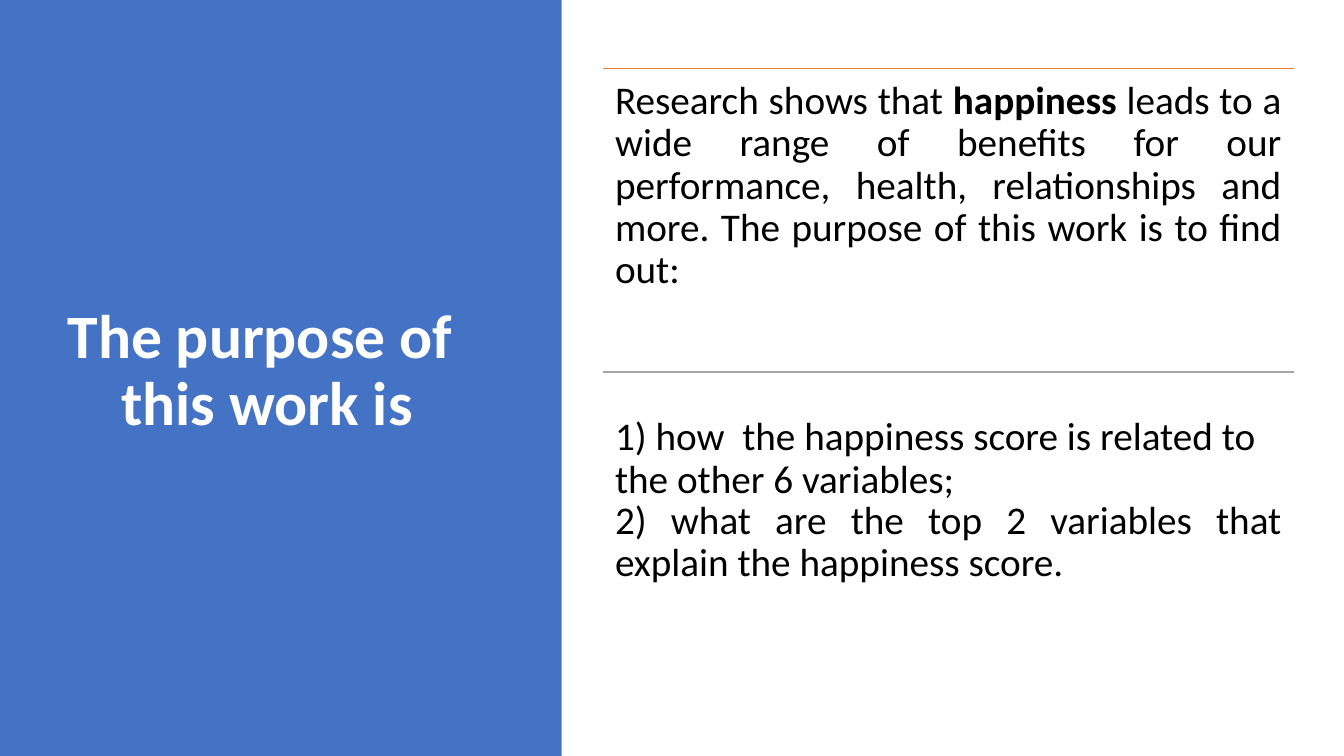
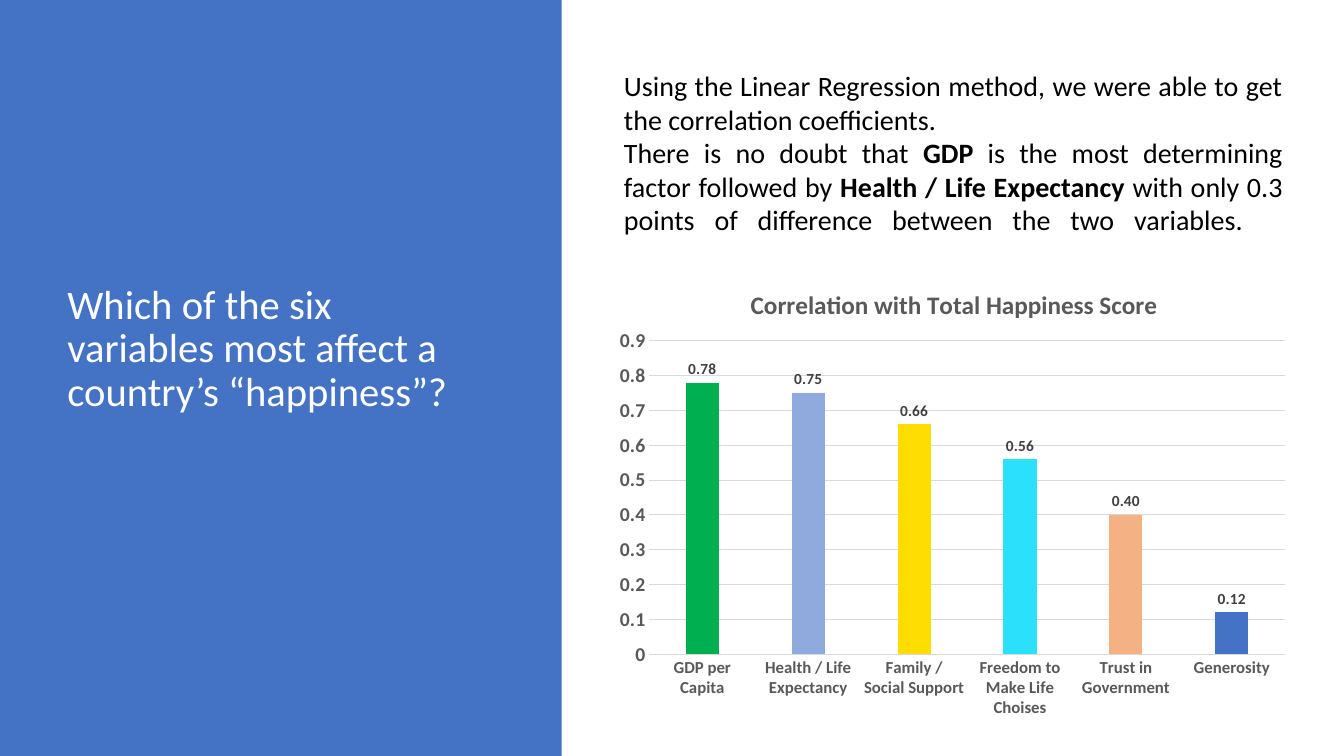
from typing import NamedTuple

from lxml import etree
from pptx import Presentation
from pptx.chart.data import CategoryChartData
from pptx.dml.color import RGBColor
from pptx.enum import chart as ch, shapes, text
from pptx.oxml.ns import qn
from pptx.util import Inches, Pt

WHITE = RGBColor(0xFF, 0xFF, 0xFF)
BLACK = RGBColor(0, 0, 0)
BLUE = RGBColor(0x44, 0x72, 0xC4)
ORANGE = RGBColor(0xED, 0x7D, 0x31)
GRAY = RGBColor(0xA5, 0xA5, 0xA5)
GRID = RGBColor(0xD9, 0xD9, 0xD9)
AXIS_TEXT = RGBColor(0x59, 0x59, 0x59)
LABEL_TEXT = RGBColor(0x40, 0x40, 0x40)
FONT = "Calibri"
LEFT, JUSTIFY, CENTER = (text.PP_ALIGN.LEFT, text.PP_ALIGN.JUSTIFY,
                         text.PP_ALIGN.CENTER)
RIGHT_X, RIGHT_W = 5.98, 6.85
SECTION_TOP, SECTION_H = 0.68, 3.01


class Para(NamedTuple):
    """A paragraph; every second run is bold, starting with a plain one."""
    runs: tuple[str, ...]
    align: text.PP_ALIGN = JUSTIFY
    space_before: float = 0


class Section(NamedTuple):
    color: RGBColor
    top_inset: float
    paras: tuple[Para, ...]


class Bar(NamedTuple):
    name: str
    value: float
    color: RGBColor


SECTIONS = (
    Section(ORANGE, 0.12, (
        Para(("Research shows that ", "happiness",
              " leads to a wide range of benefits for our performance, health, "
              "relationships and more. The purpose of this work is to find out:")),
        Para(("1) how  the happiness score is related to the other 6 variables;",),
             LEFT, 89),
    )),
    Section(GRAY, 1.83, (
        Para(("2) what are the top 2 variables that explain the happiness score.",)),
    )),
)

FINDINGS = (
    Para(("Using the Linear Regression method, we were able to get the "
          "correlation coefficients.",)),
    Para(("There is no doubt that ", "GDP",
          " is the most determining factor followed by ",
          "Health / Life Expectancy ",
          "with only 0.3 points of difference between the two variables.  ")),
)

BARS = (
    Bar("GDP per Capita", 0.78, RGBColor(0x00, 0xB0, 0x50)),
    Bar("Health / Life Expectancy", 0.75, RGBColor(0x8F, 0xAA, 0xDC)),
    Bar("Family / Social Support", 0.66, RGBColor(0xFE, 0xDE, 0x00)),
    Bar("Freedom to Make Life Choises", 0.56, RGBColor(0x2A, 0xE0, 0xFA)),
    Bar("Trust in Government", 0.40, RGBColor(0xF4, 0xB1, 0x83)),
    Bar("Generosity", 0.12, BLUE),
)


def set_font(font, size: float, color: RGBColor, bold: bool = False) -> None:
    font.name, font.size, font.bold = FONT, Pt(size), bold
    font.color.rgb = color


def add_text_frame(slide, x: float, y: float, w: float, h: float):
    tf = slide.shapes.add_textbox(*map(Inches, (x, y, w, h))).text_frame
    tf.word_wrap = True
    return tf


def add_paras(tf, paras: tuple[Para, ...], size: float, spacing: float) -> None:
    for i, para in enumerate(paras):
        p = tf.add_paragraph() if i else tf.paragraphs[0]
        p.alignment, p.line_spacing = para.align, spacing
        p.space_before = Pt(para.space_before)
        set_font(p.font, size, BLACK)
        for j, words in enumerate(para.runs):
            r = p.add_run()
            r.text = words
            r.font.bold = j % 2 == 1


def add_panel_slide(prs, title: str, size: float, bold: bool,
                    align: text.PP_ALIGN, bottom_inset: float = 0.05):
    """Add a slide with its title on the blue panel at the left."""
    slide = prs.slides.add_slide(prs.slide_layouts[6])
    sp = slide.shapes.add_shape(shapes.MSO_SHAPE.RECTANGLE, 0, 0,
                                Inches(5.57), prs.slide_height)
    sp.shadow.inherit = False
    sp.fill.solid()
    sp.fill.fore_color.rgb = BLUE
    sp.line.fill.background()
    tf = add_text_frame(slide, 0.57, SECTION_TOP, 4.16, 2 * SECTION_H)
    tf.vertical_anchor = text.MSO_ANCHOR.MIDDLE
    tf.margin_bottom = Inches(bottom_inset)
    p = tf.paragraphs[0]
    p.text = title
    p.alignment, p.line_spacing = align, 0.9
    set_font(p.font, size, WHITE, bold)
    return slide


def add_section(slide, section: Section, y: float) -> None:
    line = slide.shapes.add_connector(
        shapes.MSO_CONNECTOR.STRAIGHT,
        *map(Inches, (RIGHT_X, y, RIGHT_X + RIGHT_W, y)))
    line.line.color.rgb = section.color
    line.line.width = Pt(1)
    etree.SubElement(line.element.spPr, qn("a:effectLst"))
    tf = add_text_frame(slide, RIGHT_X, y, RIGHT_W, SECTION_H)
    tf.margin_left = tf.margin_right = tf.margin_bottom = Inches(0.12)
    tf.margin_top = Inches(section.top_inset)
    add_paras(tf, section.paras, 28, 0.9)


def set_layout(parent, index: int, **fractions: float) -> None:
    """Place a chart part by fractions of the chart's size."""
    for old in parent.findall(qn("c:layout")):
        parent.remove(old)
    layout = etree.Element(qn("c:layout"))
    manual = etree.SubElement(layout, qn("c:manualLayout"))
    settings = {"xMode": "edge", "yMode": "edge", **fractions}
    if "w" in fractions:
        settings = {"layoutTarget": "inner", **settings}
    for tag, value in settings.items():
        etree.SubElement(manual, qn(f"c:{tag}")).set("val", str(value))
    parent.insert(index, layout)


def style_axis(axis, size: float) -> None:
    axis.major_tick_mark = axis.minor_tick_mark = ch.XL_TICK_MARK.NONE
    set_font(axis.tick_labels.font, size, AXIS_TEXT, True)


def add_correlation_chart(slide) -> None:
    data = CategoryChartData()
    data.categories = [bar.name for bar in BARS]
    data.add_series("Series 1", [bar.value for bar in BARS])
    chart = slide.shapes.add_chart(
        ch.XL_CHART_TYPE.COLUMN_CLUSTERED,
        *map(Inches, (6.03, 2.57, RIGHT_W, 4.64)), data).chart
    set_font(chart.font, 10, BLACK)
    chart.has_legend = False

    chart.has_title = True
    p = chart.chart_title.text_frame.paragraphs[0]
    p.text = "Correlation with Total Happiness Score"
    set_font(p.font, 18, AXIS_TEXT, True)
    set_layout(chart.element.find(".//" + qn("c:title")), 1, x=0.2, y=0.05)
    set_layout(chart.element.find(".//" + qn("c:plotArea")), 0,
               x=0.06, y=0.175, w=0.92, h=0.67)

    style_axis(chart.category_axis, 12)
    chart.category_axis.format.line.color.rgb = GRID
    chart.category_axis.format.line.width = Pt(0.75)
    axis = chart.value_axis
    style_axis(axis, 14)
    axis.minimum_scale, axis.maximum_scale, axis.major_unit = 0, 0.9, 0.1
    axis.format.line.fill.background()
    axis.major_gridlines.format.line.color.rgb = GRID
    axis.major_gridlines.format.line.width = Pt(0.75)

    plot = chart.plots[0]
    plot.gap_width, plot.overlap, plot.vary_by_categories = 219, -27, False
    series = plot.series[0]
    for i, bar in enumerate(BARS):
        fill = series.points[i].format.fill
        fill.solid()
        fill.fore_color.rgb = bar.color
    labels = series.data_labels
    labels.show_value = True
    labels.number_format, labels.number_format_is_linked = "#,##0.00", False
    labels.position = ch.XL_LABEL_POSITION.OUTSIDE_END
    set_font(labels.font, 11, LABEL_TEXT, True)


def main() -> None:
    prs = Presentation()
    prs.slide_width, prs.slide_height = Inches(13.33), Inches(7.5)

    slide = add_panel_slide(prs, "The purpose of \vthis work is", 44, True, CENTER)
    for i, section in enumerate(SECTIONS):
        add_section(slide, section, SECTION_TOP + i * SECTION_H)

    slide = add_panel_slide(
        prs, "Which of the six variables most affect a country’s “happiness”?",
        29, False, LEFT, bottom_inset=0.49)
    add_correlation_chart(slide)
    tf = add_text_frame(slide, 6.09, 0.63, 6.73, 2.08)
    add_paras(tf, FINDINGS, 20, 1.0)
    # A closing break makes the last line justify too.
    tf.paragraphs[-1].add_line_break()

    prs.save("out.pptx")


if __name__ == "__main__":
    main()
